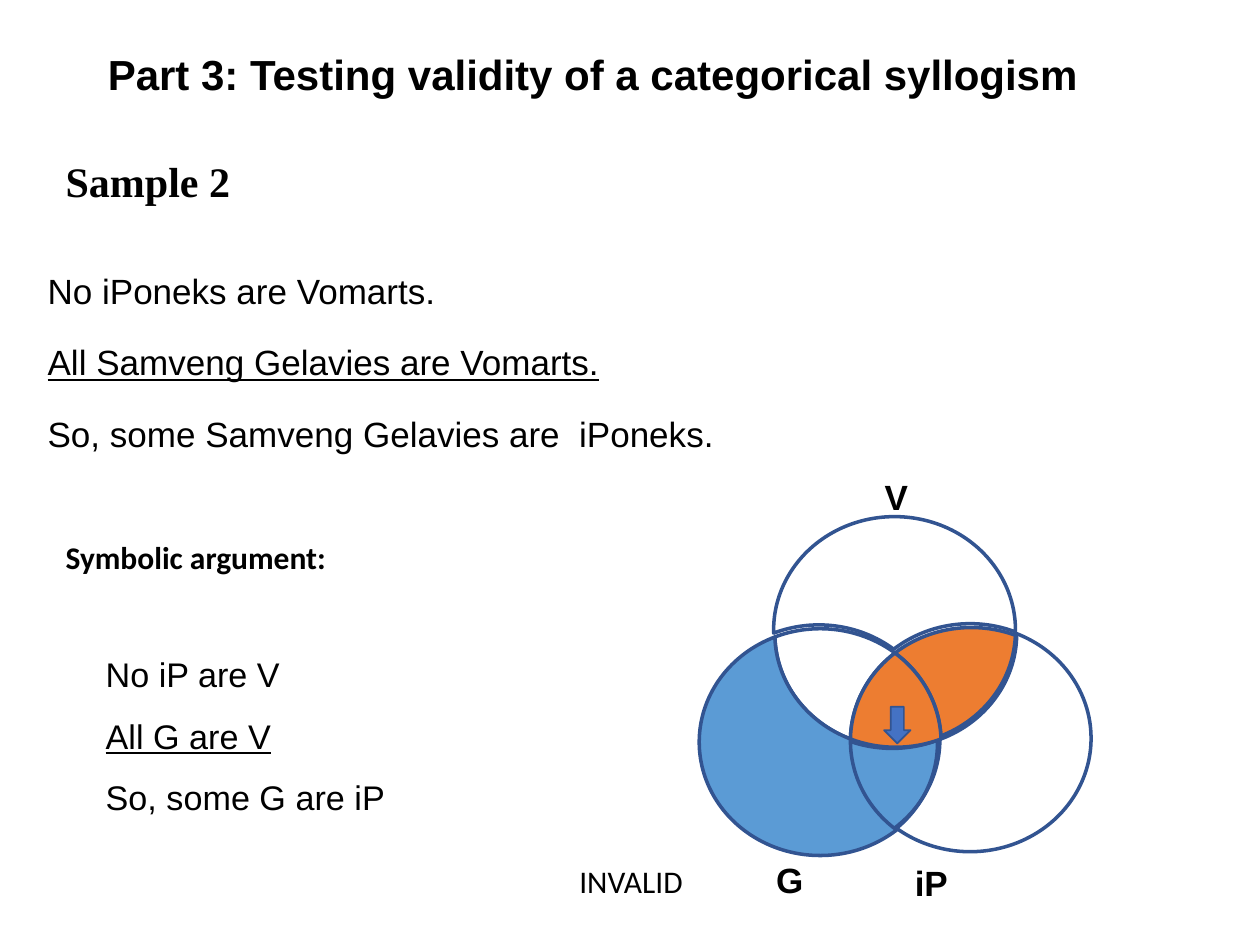
import math

from lxml import etree
from pptx import Presentation
from pptx.dml.color import RGBColor
from pptx.enum.shapes import MSO_SHAPE
from pptx.enum.text import MSO_ANCHOR, MSO_AUTO_SIZE, PP_ALIGN
from pptx.oxml.ns import qn
from pptx.util import Pt

BLACK = RGBColor(0x00, 0x00, 0x00)
OUTLINE = RGBColor(0x32, 0x54, 0x91)
BLUE = RGBColor(0x5B, 0x9B, 0xD5)
ORANGE = RGBColor(0xED, 0x7D, 0x31)
ARROW = RGBColor(0x44, 0x72, 0xC4)
LEFT, CENTER = PP_ALIGN.LEFT, PP_ALIGN.CENTER
TOP, MIDDLE = MSO_ANCHOR.TOP, MSO_ANCHOR.MIDDLE
DOWN_ARROW = MSO_SHAPE.DOWN_ARROW

# Venn circles: shared radii and one centre each, in points
RX, RY = 69.1, 64.8
CENTERS = {"V": (511.2, 360), "G": (468, 421.9), "iP": (554.4, 421.2)}
BOUND_STEPS = 32

# Regions clockwise: fill, (dx, dy), then (start corner, circle, direction) arcs
REGIONS = [
    (ORANGE, (0.7, 2.2),  # V and iP
     [("G-iP top", "iP", 1), ("V-iP out", "V", 1), ("V-G in", "G", -1)]),
    (None, (0.7, 2.2),  # V and G
     [("V-G out", "G", 1), ("G-iP top", "iP", -1), ("V-iP in", "V", 1)]),
    (BLUE, (-1.4, 2.9),  # G and iP
     [("V-iP in", "V", -1), ("V-G in", "G", 1), ("G-iP low", "iP", 1)]),
    (None, (0, 0),  # V only
     [("V-G out", "V", 1), ("V-iP out", "iP", -1), ("G-iP top", "G", -1)]),
    (None, (0, 0.7),  # iP only
     [("V-iP out", "iP", 1), ("G-iP low", "G", -1), ("V-G in", "V", -1)]),
    (BLUE, (0.7, 2.2),  # G only
     [("V-G out", "V", -1), ("V-iP in", "iP", -1), ("G-iP low", "G", 1)]),
    (ORANGE, (0.7, 2.2),  # all three
     [("G-iP top", "G", 1), ("V-G in", "V", 1), ("V-iP in", "iP", 1)]),
]


def place(s, left, top, width, height):
    s.left, s.top, s.width, s.height = Pt(left), Pt(top), Pt(width), Pt(height)


def fill_text(tf, lines, size, font="Arial", bold=False, align=LEFT, spacing=1.0,
              underlined=None, anchor=TOP, wrap=True, breaks=False):
    """One paragraph a line, or one paragraph with line breaks."""
    tf.word_wrap = wrap
    tf.auto_size = MSO_AUTO_SIZE.NONE
    tf.vertical_anchor = anchor
    p = tf.paragraphs[0]
    for i, line in enumerate(lines):
        if i and breaks:
            p.add_line_break()
        elif i:
            p = tf.add_paragraph()
        p.alignment = align
        p.line_spacing = spacing
        p.space_before = Pt(0)
        r = p.add_run()
        r.text = line
        r.font.name = font
        r.font.size = Pt(size)
        r.font.bold = bold
        r.font.underline = i == underlined
        r.font.color.rgb = BLACK


def remove_bullet(p):
    pPr = p._p.get_or_add_pPr()
    pPr.set("marL", "0")
    pPr.set("indent", "0")
    etree.SubElement(pPr, qn("a:buNone"))


def add_text(slide, box, lines, size, **style):
    s = slide.shapes.add_textbox(*(Pt(v) for v in box))
    fill_text(s.text_frame, lines, size, **style)


def style_shape(s, fill, line_width):
    s.shadow.inherit = False
    if fill is None:
        s.fill.background()
    else:
        s.fill.solid()
        s.fill.fore_color.rgb = fill
    s.line.color.rgb = OUTLINE
    s.line.width = Pt(line_width)


def crossings(a, b):
    """Both points where two circles meet."""
    (ax, ay), (bx, by) = CENTERS[a], CENTERS[b]
    dx, dy = (bx - ax) / RX / 2, (by - ay) / RY / 2
    d = math.hypot(dx, dy)
    h = math.sqrt(1 - d * d) / d
    mx, my = (ax + bx) / 2, (ay + by) / 2
    return [(mx - k * dy * h * RX, my + k * dx * h * RY) for k in (1, -1)]


def find_corners():
    corners = {}
    for a, b, sides in (("V", "iP", ("in", "out")), ("V", "G", ("out", "in")),
                        ("G", "iP", ("low", "top"))):
        for side, point in zip(sides, crossings(a, b)):
            corners[f"{a}-{b} {side}"] = point
    return corners


def measure_arc(circle, start, end, direction):
    """Start angle and signed sweep."""
    cx, cy = CENTERS[circle]
    a0, a1 = (math.atan2((y - cy) / RY, (x - cx) / RX) for x, y in (start, end))
    return a0, direction * ((direction * (a1 - a0)) % math.tau)


def on_circle(center, angle, tangent=0):
    """Point at an angle, moved along the tangent."""
    c, n = math.cos(angle), math.sin(angle)
    return (Pt(center[0] + RX * (c - tangent * n)),
            Pt(center[1] + RY * (n + tangent * c)))


def curve_arc(center, start, sweep):
    """Bezier control points of an arc, at most a quarter turn each."""
    count = math.ceil(abs(sweep) / (math.pi / 2))
    step = sweep / count
    k = 4 / 3 * math.tan(step / 4)
    for i in range(count):
        a, b = start + i * step, start + (i + 1) * step
        yield on_circle(center, a, k), on_circle(center, b, -k), on_circle(center, b)


def add_region(slide, corners, fill, shift, arcs):
    outline, curves = [], []
    for i, (corner, circle, direction) in enumerate(arcs):
        end = arcs[(i + 1) % len(arcs)][0]
        start, sweep = measure_arc(circle, corners[corner], corners[end], direction)
        center = [c + d for c, d in zip(CENTERS[circle], shift)]
        outline += [on_circle(center, start + sweep * j / BOUND_STEPS)
                    for j in range(BOUND_STEPS)]
        curves += curve_arc(center, start, sweep)
    builder = slide.shapes.build_freeform(*outline[0])
    builder.add_line_segments(outline[1:], close=True)
    s = builder.convert_to_shape()
    style_shape(s, fill, 2)
    # Swap the straight segments for true curves within the same bounds
    segments = list(s._element.iter(qn("a:lnTo")))
    close = next(s._element.iter(qn("a:close")))
    for curve in curves:
        bezier = etree.Element(qn("a:cubicBezTo"))
        for x, y in curve:
            etree.SubElement(bezier, qn("a:pt"), x=str(x - s.left), y=str(y - s.top))
        close.addprevious(bezier)
    for segment in segments:
        segment.getparent().remove(segment)


def add_venn(slide):
    # Circle names
    for name, left, top, width in (("V", 498.2, 268.2, 28), ("G", 436.3, 487.1, 30),
                                   ("iP", 515.2, 488.8, 34)):
        add_text(slide, (left, top, width, 31.7), [name], 20,
                 bold=True, align=CENTER, wrap=False)
    corners = find_corners()
    for fill, shift, arcs in REGIONS:
        add_region(slide, corners, fill, shift, arcs)
    # Marker in the shared region
    s = slide.shapes.add_shape(DOWN_ARROW, Pt(505.2), Pt(403.9), Pt(15.1), Pt(20.9))
    style_shape(s, ARROW, 1)


def main():
    prs = Presentation()
    prs.slide_width, prs.slide_height = Pt(720), Pt(540)
    slide = prs.slides.add_slide(prs.slide_layouts[1])

    # Title
    title = slide.shapes.title
    place(title, -0.7, 23.8, 679, 40.3)
    fill_text(title.text_frame, ["Part 3: Testing validity of a categorical syllogism"],
              24, bold=True, align=CENTER, spacing=0.9, anchor=MIDDLE)

    # Argument in words
    body = slide.placeholders[1]
    place(body, 20, 133.6, 581.8, 104.4)
    fill_text(body.text_frame,
              ["No iPoneks are Vomarts.",
               "All Samveng Gelavies are Vomarts.",
               "So, some Samveng Gelavies are  iPoneks."],
              20, spacing=1.7, underlined=1, breaks=True)
    remove_bullet(body.text_frame.paragraphs[0])

    # Headings and symbolic argument
    add_text(slide, (30.4, 85.3, 121.7, 36), ["Sample 2"], 24,
             font="Times New Roman", bold=True)
    add_text(slide, (30.4, 303.8, 226, 28.8), ["Symbolic argument:"], 18,
             font="Calibri", bold=True)
    add_text(slide, (53.3, 358.2, 215.3, 109.4),
             ["No iP are V", "All G are V", "So, some G are iP"],
             19.5, spacing=1.5, underlined=1)

    # Diagram and verdict
    add_venn(slide)
    add_text(slide, (324, 488.9, 88.6, 28.8), ["INVALID"], 18, font="Calibri")

    prs.save("out.pptx")


if __name__ == "__main__":
    main()
